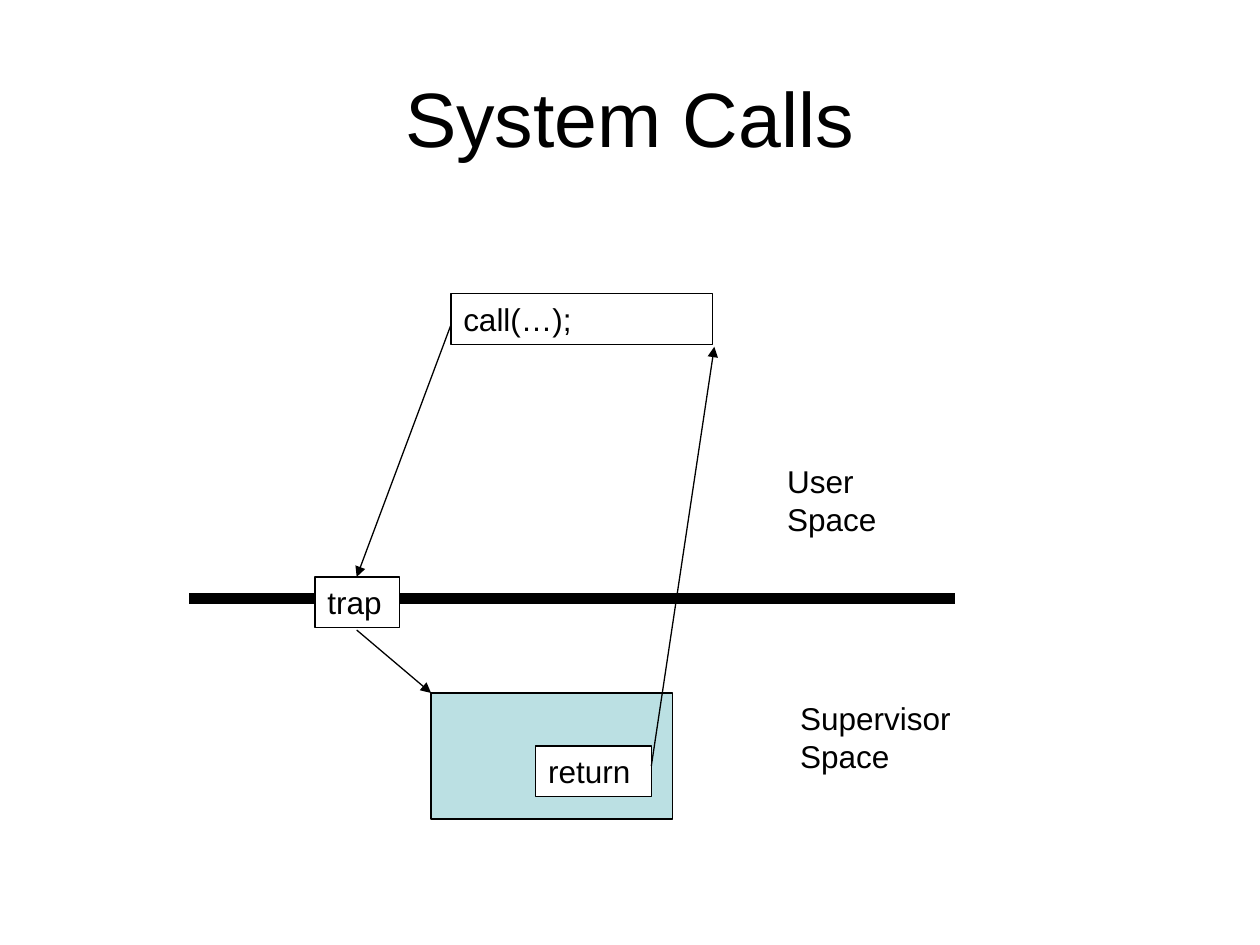
from lxml.etree import SubElement
from pptx import Presentation
from pptx.dml.color import RGBColor
from pptx.enum.shapes import MSO_CONNECTOR, MSO_SHAPE
from pptx.enum.text import MSO_ANCHOR, PP_ALIGN
from pptx.oxml.ns import qn
from pptx.util import Cm, Pt


def color(value):
    return RGBColor.from_string(value)


class Diagram:
    font_name = "Arial"
    ink = "000000"
    text_size = 18
    title_size = 44
    line_width = 0.75
    row_height = 1.02

    def __init__(self, slide):
        self.slide = slide

    def add_text(self, shape, text, size, alignment=PP_ALIGN.LEFT, anchor=MSO_ANCHOR.TOP, wrap=True):
        frame = shape.text_frame
        frame.word_wrap = wrap
        frame.vertical_anchor = anchor
        paragraph = frame.paragraphs[0]
        paragraph.alignment = alignment
        run = paragraph.add_run()
        run.text = text
        run.font.name = self.font_name
        run.font.size = Pt(size)
        run.font.color.rgb = color(self.ink)

    def title(self, text, left, top, width, height):
        shape = self.slide.shapes.add_textbox(Cm(left), Cm(top), Cm(width), Cm(height))
        self.add_text(shape, text, self.title_size, PP_ALIGN.CENTER, MSO_ANCHOR.MIDDLE)

    def label(self, text, left, top, width):
        shape = self.slide.shapes.add_textbox(Cm(left), Cm(top), Cm(width), Cm(self.row_height))
        self.add_text(shape, text, self.text_size, wrap=False)

    def box(self, left, top, width, height=row_height, fill="FFFFFF", text=None):
        shape = self.slide.shapes.add_shape(
            MSO_SHAPE.RECTANGLE, Cm(left), Cm(top), Cm(width), Cm(height)
        )
        shape.shadow.inherit = False
        shape.fill.solid()
        shape.fill.fore_color.rgb = color(fill)
        shape.line.color.rgb = color(self.ink)
        shape.line.width = Pt(self.line_width)
        if text:
            self.add_text(shape, text, self.text_size)

    def line(self, start, end, width=line_width):
        connector = self.slide.shapes.add_connector(
            MSO_CONNECTOR.STRAIGHT, *(Cm(value) for value in (*start, *end))
        )
        connector.line.color.rgb = color(self.ink)
        connector.line.width = Pt(width)
        SubElement(connector.element.spPr, qn("a:effectLst"))
        return connector

    def arrow(self, start, end):
        connector = self.line(start, end)
        outline = connector.element.spPr.find(qn("a:ln"))
        SubElement(outline, qn("a:tailEnd"), type="triangle")


def main():
    presentation = Presentation()
    presentation.slide_width = Cm(25.4)
    presentation.slide_height = Cm(19.05)
    diagram = Diagram(presentation.slides.add_slide(presentation.slide_layouts[6]))

    diagram.box(8.69, 13.97, 4.87, 2.54, fill="BBE0E3")
    diagram.title("System Calls", 1.27, 0.76, 22.86, 3.18)
    diagram.line((3.81, 12.07), (19.25, 12.07), width=6)

    for text, left, top, width in (
        ("trap", 6.35, 11.63, 1.7),
        ("call(…);", 9.09, 5.92, 5.28),
        ("return", 10.8, 15.04, 2.34),
    ):
        diagram.box(left, top, width, text=text)

    for start, end in (
        ((9.09, 6.55), (7.19, 11.63)),
        ((7.19, 12.7), (8.69, 13.97)),
        ((13.13, 15.44), (14.4, 6.99)),
    ):
        diagram.arrow(start, end)

    diagram.label("User Space", 15.62, 9.19, 3.81)
    diagram.label("Supervisor Space", 15.88, 13.97, 5.51)

    presentation.save("out.pptx")


if __name__ == "__main__":
    main()
